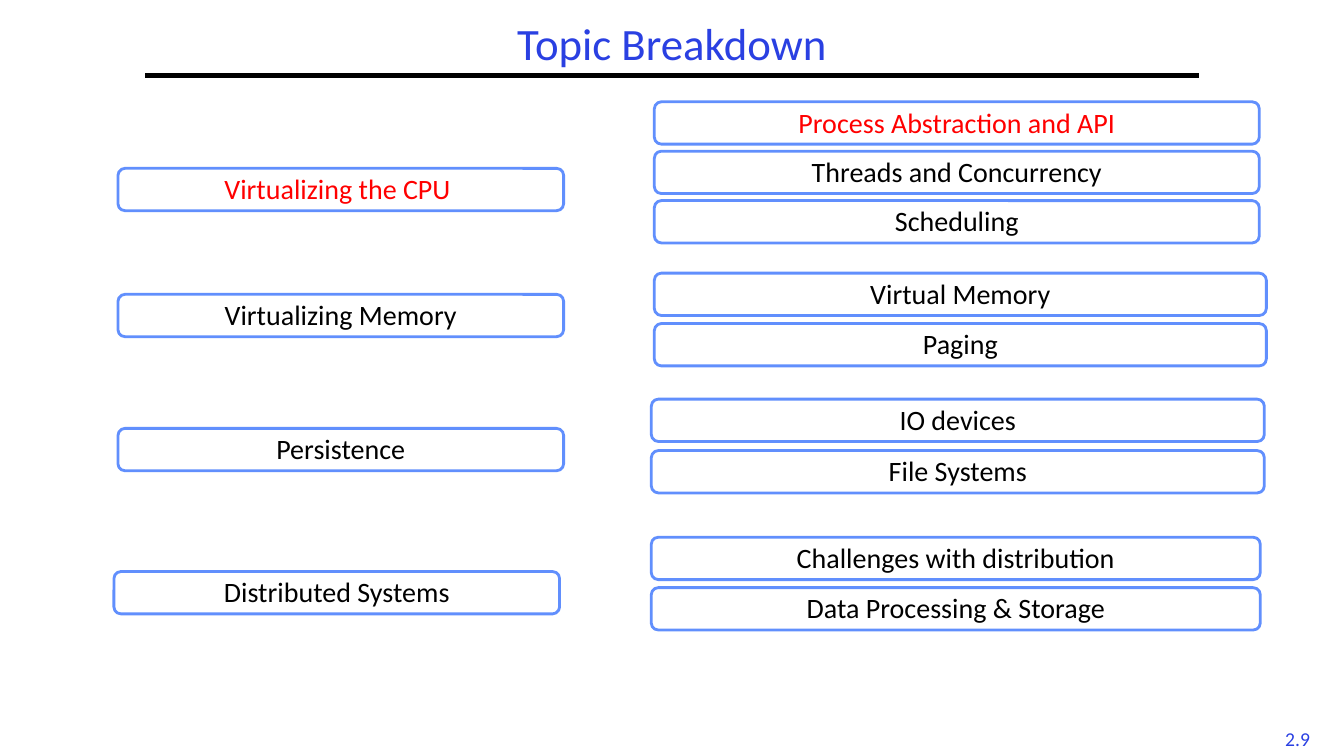
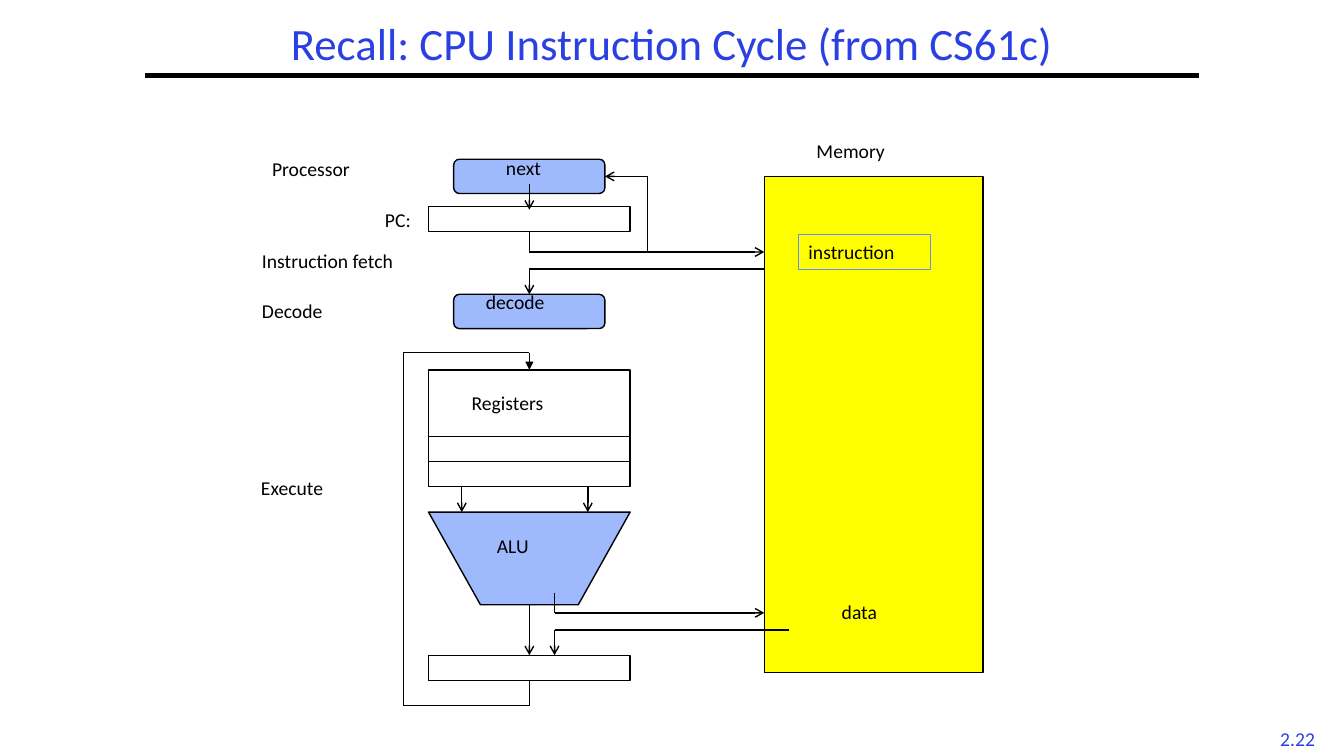
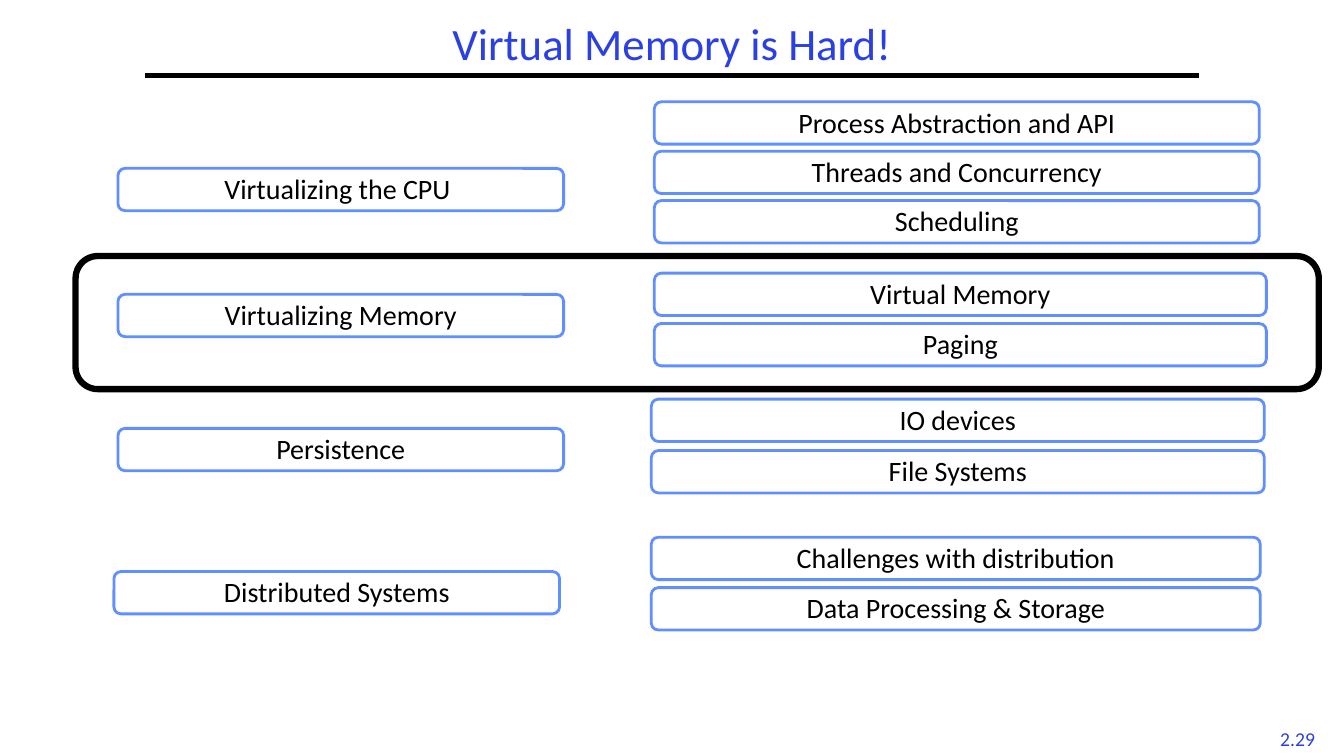
from itertools import pairwise

from lxml.etree import SubElement
from pptx import Presentation
from pptx.dml.color import RGBColor
from pptx.enum.shapes import MSO_CONNECTOR, MSO_SHAPE
from pptx.enum.text import MSO_ANCHOR, PP_ALIGN
from pptx.oxml.ns import qn
from pptx.util import Inches, Pt

BLACK = RGBColor(0x00, 0x00, 0x00)
WHITE = RGBColor(0xFF, 0xFF, 0xFF)
RED = RGBColor(0xFF, 0x00, 0x00)
YELLOW = RGBColor(0xFF, 0xFF, 0x00)
TITLE_BLUE = RGBColor(0x2A, 0x40, 0xE2)
BOX_BLUE = RGBColor(0x61, 0x8F, 0xFD)
FONT = "Calibri"

TOP, LEFT, BOTTOM, RIGHT = range(4)

TOPICS = [
    ("Virtualizing the CPU ", 1.17, 1.67, 6.49, 1.01, 6, 0.49,
     ["Process Abstraction and API", "Threads and Concurrency", "Scheduling"]),
    ("Virtualizing Memory", 1.17, 2.92, 6.49, 2.71, 6.07, 0.5,
     ["Virtual Memory", "Paging"]),
    ("Persistence", 1.17, 4.25, 6.46, 3.96, 6.08, 0.51,
     ["IO devices", "File Systems"]),
    ("Distributed Systems", 1.13, 5.67, 6.46, 5.33, 6.04, 0.5,
     ["Challenges with distribution", "Data Processing & Storage"]),
]


class Deck:
    def __init__(self):
        self.presentation = Presentation()
        self.presentation.slide_width = Inches(13.33)
        self.presentation.slide_height = Inches(7.5)
        self.slide = None

    def start(self, title, number):
        layout = self.presentation.slide_layouts[6]
        self.slide = self.presentation.slides.add_slide(layout)
        self.label(number, 12.58, 7.16, 0.58, 0.33, color=TITLE_BLUE,
                   align=PP_ALIGN.CENTER, wrap=False)
        self.route([(1.44, 0.75), (11.89, 0.75)], width=3)
        self.label(title, 0, 0.17, 13.33, 0.58, 32, TITLE_BLUE,
                   PP_ALIGN.CENTER, MSO_ANCHOR.MIDDLE, 0.9)

    def set_text(self, shape, text, size, color, align, anchor, spacing, wrap=True):
        frame = shape.text_frame
        frame.word_wrap = wrap
        frame.vertical_anchor = anchor
        paragraph = frame.paragraphs[0]
        paragraph.alignment = align
        paragraph.line_spacing = spacing
        run = paragraph.add_run()
        run.text = text
        run.font.name = FONT
        run.font.size = Pt(size)
        run.font.color.rgb = color

    def label(self, text, left, top, width, height=0.34, size=14, color=BLACK,
              align=PP_ALIGN.LEFT, anchor=MSO_ANCHOR.TOP, spacing=1.0, wrap=True):
        box = self.slide.shapes.add_textbox(
            Inches(left), Inches(top), Inches(width), Inches(height))
        self.set_text(box, text, size, color, align, anchor, spacing, wrap)

    def box(self, left, top, width, height, kind=MSO_SHAPE.RECTANGLE, fill=None,
            line=BLACK, line_width=1, opacity=None):
        shape = self.slide.shapes.add_shape(
            kind, Inches(left), Inches(top), Inches(width), Inches(height))
        shape.shadow.inherit = False
        shape.line.color.rgb = line
        shape.line.width = Pt(line_width)
        if fill is None:
            shape.fill.background()
        else:
            shape.fill.solid()
            shape.fill.fore_color.rgb = fill
        if opacity is not None:
            color = shape.element.spPr.find(qn("a:solidFill"))[0]
            SubElement(color, qn("a:alpha")).set("val", str(opacity * 1000))
        return shape

    def unit(self, left, top, width, height, kind=MSO_SHAPE.ROUNDED_RECTANGLE):
        return self.box(left, top, width, height, kind, BOX_BLUE, opacity=61)

    def topic(self, text, left, top, width, color):
        shape = self.box(left, top, width, 0.42, MSO_SHAPE.ROUNDED_RECTANGLE,
                         WHITE, BOX_BLUE, 2)
        self.set_text(shape, text, 20, color, PP_ALIGN.CENTER, MSO_ANCHOR.TOP, 0.9)

    def route(self, points, head=None, begin=None, end=None, width=1):
        connectors = []
        for (x1, y1), (x2, y2) in pairwise(points):
            connector = self.slide.shapes.add_connector(
                MSO_CONNECTOR.STRAIGHT, Inches(x1), Inches(y1), Inches(x2), Inches(y2))
            connector.line.color.rgb = BLACK
            connector.line.width = Pt(width)
            SubElement(connector.element.spPr, qn("a:effectLst"))
            connectors.append(connector)
        if begin:
            connectors[0].begin_connect(*begin)
        if end:
            connectors[-1].end_connect(*end)
        if head:
            outline = connectors[-1].element.spPr.find(qn("a:ln"))
            SubElement(outline, qn("a:tailEnd")).set("type", head)

    def topic_map(self, highlighted=()):
        for topic, left, top, sub_left, sub_top, sub_width, step, subtopics in TOPICS:
            entries = [(topic, left, top, 4.42)]
            entries += [(subtopic, sub_left, sub_top + row * step, sub_width)
                        for row, subtopic in enumerate(subtopics)]
            for entry in entries:
                self.topic(*entry, RED if entry[0] in highlighted else BLACK)


def build_instruction_cycle(deck):
    deck.start("Recall: CPU Instruction Cycle (from CS61c)", "2.22")
    deck.box(7.58, 1.75, 2.17, 4.92, fill=YELLOW)
    counter = deck.box(4.25, 2.05, 2, 0.25)
    following = deck.unit(4.5, 1.58, 1.5, 0.34)
    decoder = deck.unit(4.5, 2.92, 1.5, 0.34)
    registers = deck.box(4.25, 3.67, 2, 1.16)
    deck.box(4.25, 4.33, 2, 0.25)
    alu = deck.unit(4.25, 5.08, 2, 0.92, MSO_SHAPE.TRAPEZOID)
    alu.adjustments[0] = 0.56
    alu.rotation = 180
    result = deck.box(4.25, 6.5, 2, 0.25)
    deck.box(7.92, 2.33, 1.31, 0.34, line=BOX_BLUE, line_width=0.75)

    deck.route([(5.25, 1.83), (5.25, 2.08)], "arrow")
    deck.route([(5.25, 2.3), (5.25, 2.5), (7.58, 2.5)], "arrow",
               begin=(counter, BOTTOM))
    deck.route([(6.42, 2.5), (6.42, 1.75), (6, 1.75)], "arrow",
               end=(following, RIGHT))
    deck.route([(7.58, 2.67), (5.25, 2.67), (5.25, 2.92)], "arrow",
               end=(decoder, TOP))
    for x in (4.58, 5.83):
        deck.route([(x, 4.83), (x, 5.08)], "arrow")
    deck.route([(5.25, 6), (5.25, 6.5)], "arrow", end=(result, TOP))
    deck.route([(5.5, 5.88), (5.5, 6.08), (7.58, 6.08)], "arrow")
    deck.route([(7.83, 6.25), (5.5, 6.25), (5.5, 6.5)], "arrow")
    deck.route([(5.25, 6.75), (5.25, 7), (4, 7), (4, 3.5), (5.25, 3.5), (5.25, 3.67)],
               "triangle", begin=(result, BOTTOM), end=(registers, TOP))

    for text, left, top, width in [
        ("Processor", 2.6, 1.51, 1.25),
        ("PC:", 3.72, 2.01, 0.57),
        ("Instruction fetch", 2.5, 2.42, 2.05),
        ("Decode", 2.5, 2.92, 0.99),
        ("Execute", 2.49, 4.67, 1.04),
        ("next", 4.92, 1.5, 0.68),
        ("decode", 4.72, 2.83, 0.95),
        ("Registers", 4.58, 3.83, 1.2),
        ("ALU", 4.83, 5.25, 0.68),
        ("Memory", 8, 1.33, 1.06),
        ("instruction", 7.92, 2.33, 1.31),
        ("data", 8.25, 5.9, 0.65),
    ]:
        deck.label(text, left, top, width)


def main():
    deck = Deck()
    deck.start("Topic Breakdown", "2.9")
    deck.topic_map(("Virtualizing the CPU ", "Process Abstraction and API"))

    build_instruction_cycle(deck)

    deck.start("Virtual Memory is Hard!", "2.29")
    deck.box(0.75, 2.54, 12.33, 1.32, MSO_SHAPE.ROUNDED_RECTANGLE, WHITE, line_width=4.5)
    deck.topic_map()
    deck.presentation.save("out.pptx")


if __name__ == "__main__":
    main()
